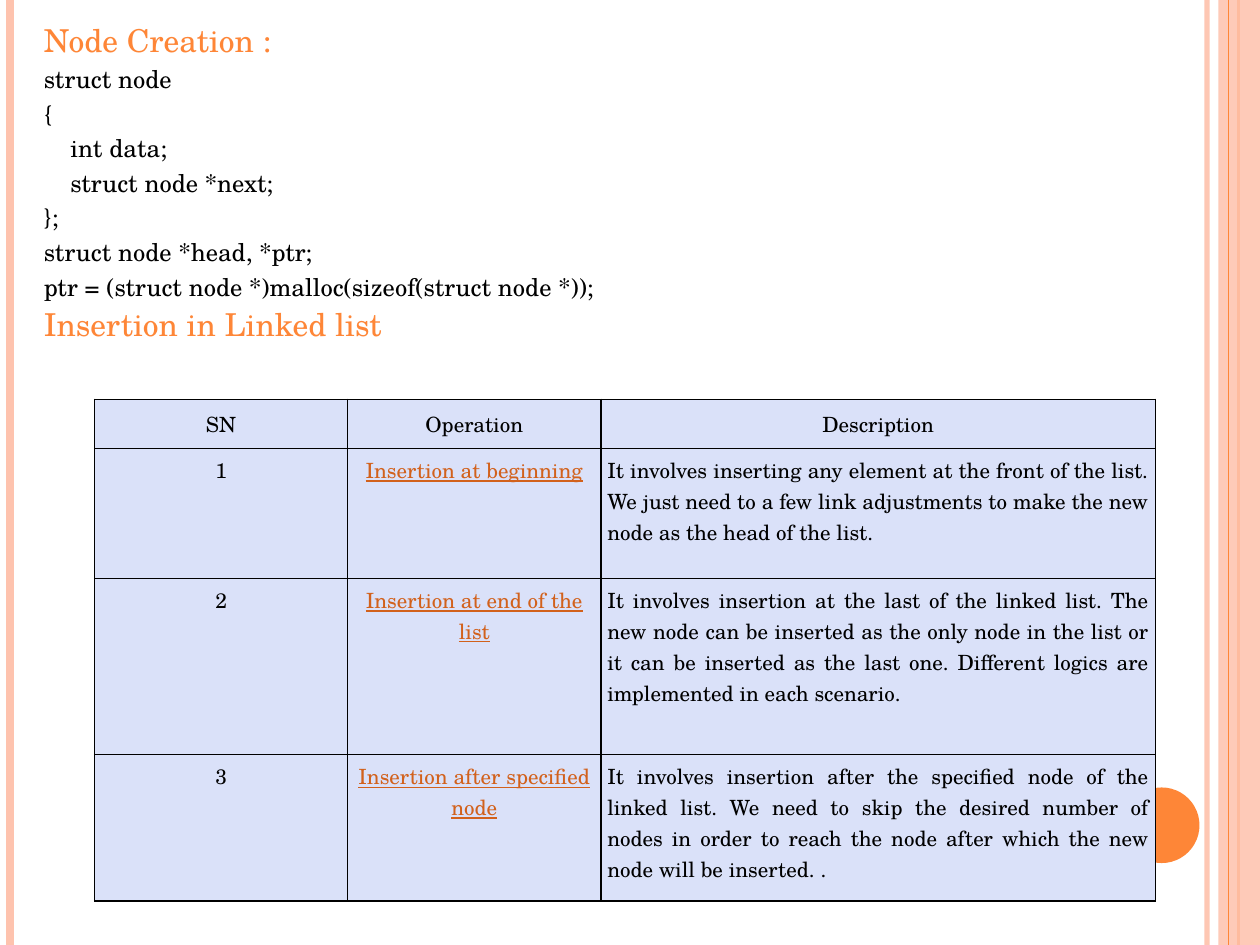
from typing import NamedTuple

from lxml.etree import SubElement
from pptx import Presentation
from pptx.dml.color import RGBColor
from pptx.enum.shapes import MSO_CONNECTOR, MSO_SHAPE
from pptx.enum.text import MSO_ANCHOR, PP_ALIGN as Align
from pptx.oxml.ns import qn
from pptx.util import Inches, Pt

FONT = "TeX Gyre Schola"
ORANGE, PEACH, BLACK, LINK, CELL = "FE8637", "FEC3AE", "000000", "D2611C", "DAE1F9"
SLIDE_HEIGHT = 7.5


class Stripe(NamedTuple):
    x: float
    color: str
    width: float
    opacity: int = 100


class Panel(NamedTuple):
    kind: MSO_SHAPE
    box: tuple[float, float, float, float]
    color: str
    opacity: int = 100


class Line(NamedTuple):
    text: str
    size: int = 14
    color: str = BLACK
    indent: float = 0


class Operation(NamedTuple):
    number: str
    name: str
    description: str


BACKGROUND = [
    Stripe(9.58, PEACH, 3, 93),
    Stripe(0.08, PEACH, 4.5),
    Stripe(9.83, ORANGE, 1.5),
    Panel(MSO_SHAPE.RECTANGLE, (9.67, 0, 0.33, SLIDE_HEIGHT), PEACH, 87),
    Stripe(9.75, ORANGE, 0.75),
    Panel(MSO_SHAPE.OVAL, (8.92, 6.25, 0.6, 0.6), ORANGE),
]
CODE = [
    Line("Node Creation :", 18, ORANGE),
    Line("struct node"),
    Line("{"),
    Line("int data;", indent=0.21),
    Line("struct node *next;", indent=0.21),
    Line("};"),
    Line("struct node *head, *ptr;"),
    Line("ptr = (struct node *)malloc(sizeof(struct node *));"),
    Line("Insertion in Linked list", 18, ORANGE),
]
OPERATIONS = [
    Operation("SN", "Operation", "Description"),
    Operation("1", "Insertion at beginning",
              "It involves inserting any element at the front of the list. We just need "
              "to a few link adjustments to make the new node as the head of the list."),
    Operation("2", "Insertion at end of the list",
              "It involves insertion at the last of the linked list. The new node can be "
              "inserted as the only node in the list or it can be inserted as the last one. "
              "Different logics are implemented in each scenario."),
    Operation("3", "Insertion after specified node",
              "It involves insertion after the specified node of the linked list. We need to "
              "skip the desired number of nodes in order to reach the node after which the "
              "new node will be inserted. ."),
]
COLUMN_WIDTHS = [2.01, 2.01, 4.4]
ROW_HEIGHTS = [0.39, 1.03, 1.4, 1.16]


def paint(target, color: str, opacity: int = 100) -> None:
    """Give a fill or line format one solid colour."""
    fill = getattr(target, "fill", target)
    fill.solid()
    fill.fore_color.rgb = RGBColor.from_string(color)
    if opacity < 100:
        node = fill._xPr.find(qn("a:solidFill"))[0]
        SubElement(node, qn("a:alpha"), val=str(opacity * 1000))


def set_all(target, values: dict) -> None:
    for name, value in values.items():
        setattr(target, name, value)


def write(paragraph, text: str, color: str, paragraph_format: dict, font_format: dict) -> None:
    set_all(paragraph, paragraph_format)
    run = paragraph.add_run()
    run.text = text
    set_all(run.font, {"name": FONT, **font_format})
    run.font.color.rgb = RGBColor.from_string(color)


def draw_stripe(shapes, stripe: Stripe) -> None:
    x = Inches(stripe.x)
    line = shapes.add_connector(MSO_CONNECTOR.STRAIGHT, x, 0, x, Inches(SLIDE_HEIGHT))
    line.line.width = Pt(stripe.width)
    paint(line.line, stripe.color, stripe.opacity)
    SubElement(line._element.spPr, qn("a:effectLst"))


def draw_panel(shapes, panel: Panel) -> None:
    shape = shapes.add_shape(panel.kind, *map(Inches, panel.box))
    shape.shadow.inherit = False
    paint(shape.fill, panel.color, panel.opacity)
    shape.line.fill.background()


def draw_code(shapes, lines: list[Line]) -> None:
    frame = shapes.add_textbox(*map(Inches, (0.25, 0.17, 9.5, 6.91))).text_frame
    set_all(frame, {"word_wrap": True, "vertical_anchor": MSO_ANCHOR.TOP})
    for index, line in enumerate(lines):
        paragraph = frame.add_paragraph() if index else frame.paragraphs[0]
        write(paragraph, line.text, line.color,
              {"space_before": Pt(6), "line_spacing": 0.82}, {"size": Pt(line.size)})
        if line.indent:
            paragraph._p.get_or_add_pPr().set("marL", str(Inches(line.indent)))


def add_borders(cell) -> None:
    properties = cell._tc.get_or_add_tcPr()
    for index, side in enumerate(("lnL", "lnR", "lnT", "lnB")):
        border = properties.makeelement(qn(f"a:{side}"), {"w": str(Pt(1))})
        SubElement(SubElement(border, qn("a:solidFill")), qn("a:srgbClr"), val=BLACK)
        properties.insert(index, border)


def draw_table(shapes, operations: list[Operation]) -> None:
    box = (0.75, 3.17, sum(COLUMN_WIDTHS), sum(ROW_HEIGHTS))
    table = shapes.add_table(len(operations), len(COLUMN_WIDTHS), *map(Inches, box)).table
    for column, width in zip(table.columns, COLUMN_WIDTHS):
        column.width = Inches(width)
    for row, height in zip(table.rows, ROW_HEIGHTS):
        row.height = Inches(height)
    for r, operation in enumerate(operations):
        margin = Inches(0.05 if r else 0.07)
        for c, text in enumerate(operation):
            cell = table.cell(r, c)
            sides = ("left", "right", "top", "bottom")
            set_all(cell, {f"margin_{side}": margin for side in sides})
            paint(cell.fill, CELL)
            add_borders(cell)
            is_link = r > 0 and c == 1
            alignment = Align.JUSTIFY if r > 0 and c == 2 else Align.CENTER
            write(cell.text_frame.paragraphs[0], text, LINK if is_link else BLACK,
                  {"alignment": alignment},
                  {"size": Pt(12), "bold": False, "underline": is_link})


def main() -> None:
    deck = Presentation()
    set_all(deck, {"slide_width": Inches(10), "slide_height": Inches(SLIDE_HEIGHT)})
    shapes = deck.slides.add_slide(deck.slide_layouts[6]).shapes
    for part in BACKGROUND:
        draw = draw_stripe if isinstance(part, Stripe) else draw_panel
        draw(shapes, part)
    draw_code(shapes, CODE)
    draw_table(shapes, OPERATIONS)
    deck.save("out.pptx")


if __name__ == "__main__":
    main()
